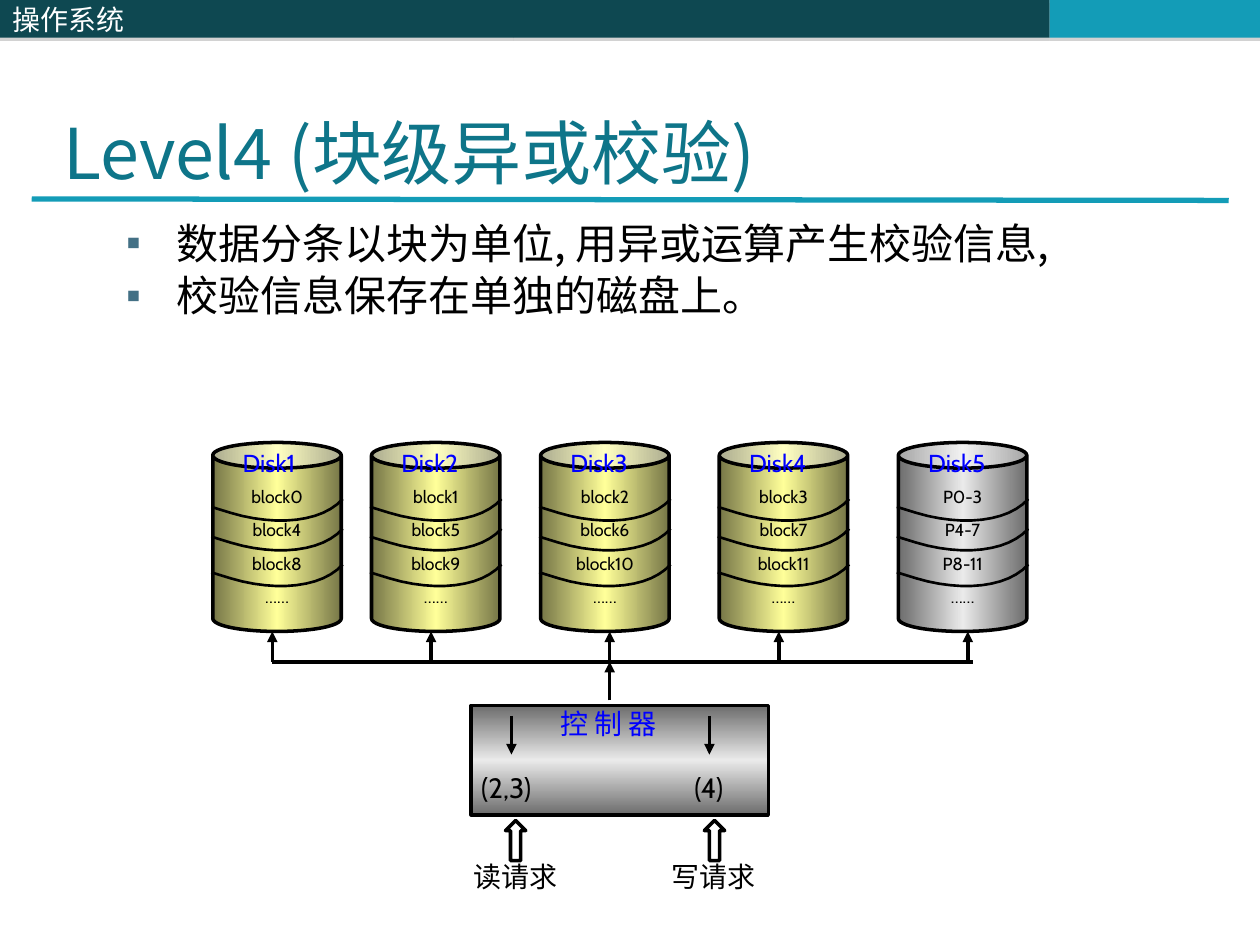
from pptx import Presentation
from pptx import util as u
from pptx.dml.color import RGBColor
from pptx.enum import shapes, text
from pptx.oxml import parse_xml
from pptx.oxml.ns import nsdecls, qn

# Content
COURSE = "操作系统"
TITLE = "Level4 (块级异或校验)"
POINTS = ["数据分条以块为单位, 用异或运算产生校验信息,", "校验信息保存在单独的磁盘上。"]
# name, left, riser x, gradient, blocks
DISKS = [
    ("Disk1", 4.29, 5.49, "data", ["block0", "block4", "block8", "……"]),
    ("Disk2", 7.49, 8.69, "data", ["block1", "block5", "block9", "……"]),
    ("Disk3", 10.9, 12.29, "data", ["block2", "block6", "block10", "……"]),
    ("Disk4", 14.5, 15.7, "data", ["block3", "block7", "block11", "……"]),
    ("Disk5", 18.11, 19.51, "parity", ["P0-3", "P4-7", "P8-11", "……"]),
]
CONTROLLER = "控 制 器"
# label, label left, steps, steps left, steps width, inner arrow x, request arrow left
REQUESTS = [
    ("读请求", 9.5, "(2,3)", 9.7, 1.6, 10.31, 10.19),
    ("写请求", 13.49, "(4)", 13.49, 1.6, 14.3, 14.2),
]

# Style
COLORS = {"dark": "0E4851", "teal": "139CB7", "title": "0E7589", "bullet": "437085",
          "black": "000000", "white": "FFFFFF", "blue": "0000FF", "shadow": "808080"}
GRADIENTS = {"data": ("767647", "FFFF99"), "parity": ("6C6C6C", "EAEAEA")}
CJK, LATIN = "Noto Sans CJK SC", "Cabin"

# Geometry in centimetres
DISK_TOP, DISK_W, DISK_H = 8.92, 2.59, 3.81
BUS_Y, BUS_END = 13.34, 19.61
BAND_DROPS = (0, 0.6, 1.32)
BAND_CURVE = ((2.62, 1.14), (2.21, 1.6), (1.3, 1.7), (0.36, 1.42))
BAND_END = (-0.03, 1.3)
CURVE_STEPS = 12


def rgb(name):
    return RGBColor.from_string(COLORS[name])


def cm(*values):
    return [u.Cm(value) for value in values]


def write(shape, lines, size, color, font=LATIN, align=text.PP_ALIGN.LEFT,
          anchor=text.MSO_ANCHOR.TOP, margins=(0, 0, 0, 0), wrap=True, spacing=None):
    frame = shape.text_frame
    frame.text = "\n".join(lines)
    frame.auto_size = text.MSO_AUTO_SIZE.NONE
    frame.word_wrap, frame.vertical_anchor = wrap, anchor
    (frame.margin_left, frame.margin_top,
     frame.margin_right, frame.margin_bottom) = cm(*margins)
    for para in frame.paragraphs:
        para.alignment = align
        if spacing:
            para.line_spacing = spacing
        for span in para.runs:
            span.font.size, span.font.name = u.Pt(size), font
            span.font.color.rgb = rgb(color)
            east = span._r.get_or_add_rPr().makeelement(qn("a:ea"), {"typeface": CJK})
            span._r.rPr.find(qn("a:latin")).addnext(east)


def label(page, box, words, size, color, align=text.PP_ALIGN.LEFT):
    write(page.shapes.add_textbox(*cm(*box)), [words], size, color, align=align, wrap=False)


def outline(shape, color="black", width=2):
    shape.line.color.rgb = rgb(color)
    shape.line.width = u.Pt(width)


def preset(page, kind, box, gradient=None, angle=0):
    shape = page.shapes.add_shape(kind, *cm(*box))
    shape.shadow.inherit = False
    outline(shape)
    if gradient:
        edge, middle = GRADIENTS[gradient]
        stops = "".join(f'<a:gs pos="{pos}"><a:srgbClr val="{color}"/></a:gs>'
                        for pos, color in ((0, edge), (50000, middle), (100000, edge)))
        shape._element.spPr.insert(2, parse_xml(
            f'<a:gradFill {nsdecls("a")} rotWithShape="1"><a:gsLst>{stops}</a:gsLst>'
            f'<a:lin ang="{angle * 60000}" scaled="0"/></a:gradFill>'))
    else:
        shape.fill.background()
    return shape


def line(page, start, end, color="black", width=2, arrow=True):
    link = page.shapes.add_connector(shapes.MSO_CONNECTOR.STRAIGHT, *cm(*start, *end))
    outline(link, color, width)
    if arrow:
        link.line._get_or_add_ln().append(
            parse_xml(f'<a:tailEnd {nsdecls("a")} type="triangle"/>'))
    link._element.spPr.append(parse_xml(f'<a:effectLst {nsdecls("a")}/>'))


def header_bar(page, left, width, color):
    bar = preset(page, shapes.MSO_SHAPE.RECTANGLE, (left, 0, width, 0.76))
    bar.fill.solid()
    bar.fill.fore_color.rgb = rgb(color)
    bar.line.fill.background()
    bar._element.spPr.find(qn("a:effectLst")).append(parse_xml(
        f'<a:outerShdw {nsdecls("a")} blurRad="0" dist="22860" dir="5400000" rotWithShape="0">'
        f'<a:srgbClr val="{COLORS["shadow"]}"><a:alpha val="35000"/></a:srgbClr></a:outerShdw>'))
    return bar


def place(shape, box):
    shape.left, shape.top, shape.width, shape.height = cm(*box)


def band(page, left, top):
    """Draw one curved divider, sampled from a cubic curve."""
    points = []
    for step in range(CURVE_STEPS + 1):
        t = step / CURVE_STEPS
        weights = ((1 - t) ** 3, 3 * t * (1 - t) ** 2, 3 * t * t * (1 - t), t ** 3)
        points.append([sum(w * p[axis] for w, p in zip(weights, BAND_CURVE))
                       for axis in (0, 1)])
    points.append(BAND_END)
    path = [tuple(cm(left + x, top + y)) for x, y in points]
    builder = page.shapes.build_freeform(*path[0])
    builder.add_line_segments(path[1:], close=False)
    curve = builder.convert_to_shape()
    curve.shadow.inherit = False
    curve.fill.background()
    outline(curve, width=1.5)


def disk(page, name, left, gradient, blocks):
    can = preset(page, shapes.MSO_SHAPE.CAN, (left, DISK_TOP, DISK_W, DISK_H), gradient)
    can.adjustments[0] = 0.2
    write(can, blocks, 10, "black", align=text.PP_ALIGN.CENTER, wrap=False, spacing=1.6,
          anchor=text.MSO_ANCHOR.MIDDLE, margins=(0.25, 0, 0.25, 0.13))
    label(page, (left + 0.6, 9.04, 1.4, 0.58), name, 14, "blue")
    for drop in BAND_DROPS:
        band(page, left, DISK_TOP + drop)


def main():
    deck = Presentation()
    deck.slide_width, deck.slide_height = cm(25.4, 19.05)
    page = deck.slides.add_slide(deck.slide_layouts[1])

    # Header and rule
    header_bar(page, 10.36, 10.8, "dark")
    header_bar(page, 21.16, 4.24, "teal")
    write(header_bar(page, 0, 10.36, "dark"), [COURSE], 16, "white", CJK,
          anchor=text.MSO_ANCHOR.MIDDLE, margins=(0.25, 0.13, 0.25, 0.13))
    line(page, (0.64, 4.01), (24.77, 4.04), "teal", 3, arrow=False)

    # Title and bullets
    title, body = page.placeholders
    place(title, (1.27, 2.21, 21.82, 1.7))
    write(title, [TITLE], 40, "title", CJK, anchor=text.MSO_ANCHOR.BOTTOM)
    place(body, (2.54, 4.55, 19.61, 3.25))
    write(body, POINTS, 24, "black", CJK, spacing=0.83)
    for index, para in enumerate(body.text_frame.paragraphs):
        para.space_before = u.Pt(6 if index else 0)
        props = para._p.get_or_add_pPr()
        props.set("marL", str(u.Cm(1.02)))
        props.set("indent", str(-u.Cm(1.02)))
        props.append(parse_xml(f'<a:buClr {nsdecls("a")}><a:srgbClr val="{COLORS["bullet"]}"/></a:buClr>'))
        props.append(parse_xml(f'<a:buChar {nsdecls("a")} char="▪"/>'))

    # Disks and bus
    for name, left, riser, gradient, blocks in DISKS:
        disk(page, name, left, gradient, blocks)
        line(page, (riser, BUS_Y), (riser, DISK_TOP + DISK_H))
    line(page, (DISKS[0][2], BUS_Y), (BUS_END, BUS_Y), arrow=False)
    line(page, (DISKS[2][2], 14.12), (DISKS[2][2], BUS_Y))

    # Controller and requests
    preset(page, shapes.MSO_SHAPE.RECTANGLE, (9.5, 14.22, 5.99, 2.21), "parity", 90)
    label(page, (11.3, 14.25, 2.21, 1.35), CONTROLLER, 16, "blue")
    for words, left, steps, steps_left, steps_w, inner_x, arrow_left in REQUESTS:
        line(page, (inner_x, 14.43), (inner_x, 15.21))
        align = text.PP_ALIGN.LEFT if steps_left != left else text.PP_ALIGN.CENTER
        label(page, (steps_left, 15.54, steps_w, 0.69), steps, 16, "black", align)
        arrow = preset(page, shapes.MSO_SHAPE.UP_ARROW, (arrow_left, 16.54, 0.41, 0.81))
        arrow.adjustments[0], arrow.adjustments[1] = 0.5, 0.5
        label(page, (left, 17.32, 1.8, 0.69), words, 16, "black", text.PP_ALIGN.CENTER)

    deck.save("out.pptx")


if __name__ == "__main__":
    main()
